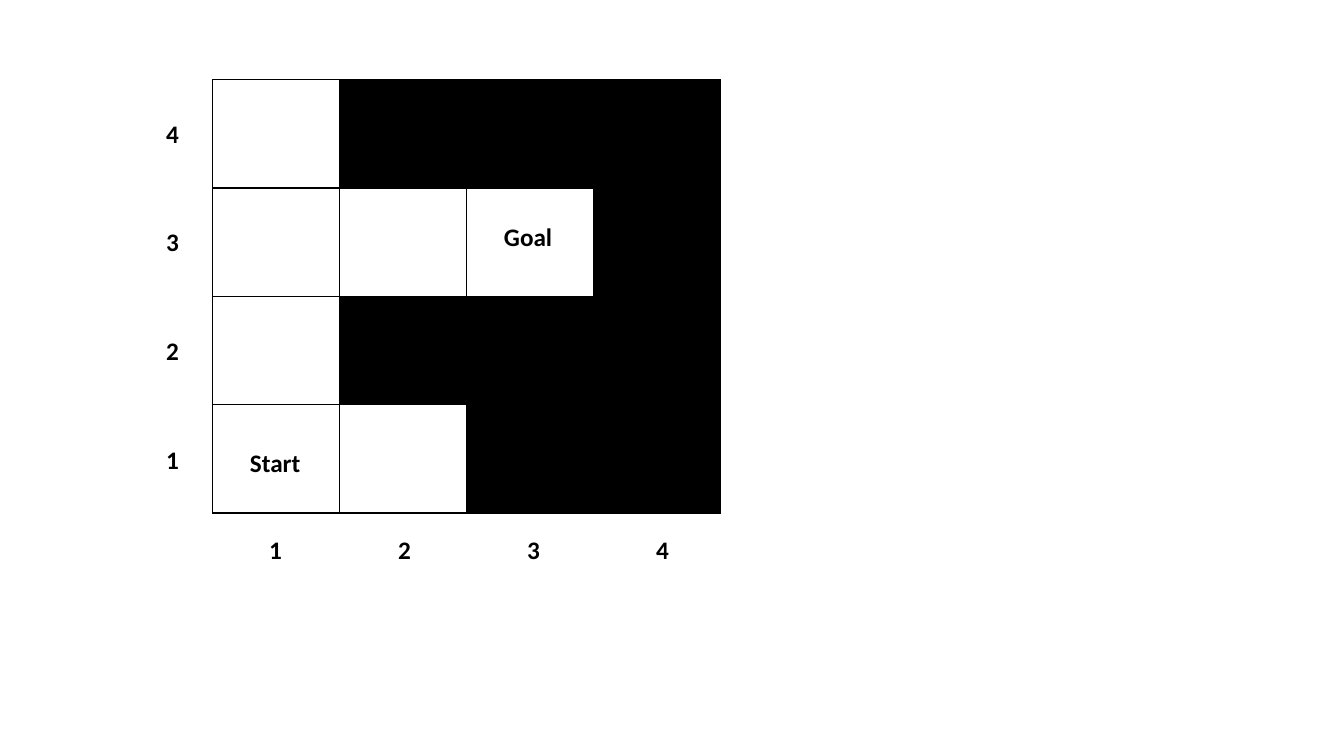
from lxml import etree
from pptx import Presentation
from pptx.dml.color import RGBColor
from pptx.enum.text import MSO_AUTO_SIZE
from pptx.oxml.ns import qn
from pptx.util import Inches, Pt

FIT = MSO_AUTO_SIZE.SHAPE_TO_FIT_TEXT
COLORS = {"ink": "000000"}
# "#" marks a wall, "." an open cell
MAZE = [".###", "...#", ".###", "..##"]
LEFT, TOP = 2.11, 0.79
CELL_W, CELL_H = 1.26, 1.075


class Board:
    def __init__(self, slide):
        self.slide = slide
        self.font = "Calibri"
        self.size = Pt(18)
        self.ink = RGBColor.from_string(COLORS["ink"])

    def label(self, text, left, top, width=0.33):
        box = self.slide.shapes.add_textbox(
            Inches(left), Inches(top), Inches(width), Inches(0.4))
        frame = box.text_frame
        frame.text = text
        frame.word_wrap = False
        frame.auto_size = FIT
        font = frame.paragraphs[0].runs[0].font
        font.name, font.size, font.bold = self.font, self.size, True
        font.color.rgb = self.ink

    def border(self, cell):
        """Draw a 1 pt line on all four sides; call before filling the cell."""
        props = cell._tc.get_or_add_tcPr()
        for side in ("a:lnL", "a:lnR", "a:lnT", "a:lnB"):
            line = etree.SubElement(props, qn(side), w=str(Pt(1)))
            fill = etree.SubElement(line, qn("a:solidFill"))
            etree.SubElement(fill, qn("a:srgbClr"), val=COLORS["ink"])

    def grid(self, maze):
        rows, cols = len(maze), len(maze[0])
        table = self.slide.shapes.add_table(
            rows, cols, Inches(LEFT), Inches(TOP),
            Inches(cols * CELL_W), Inches(rows * CELL_H)).table
        table.first_row = table.horz_banding = False
        for col in table.columns:
            col.width = Inches(CELL_W)
        for r, line in enumerate(maze):
            table.rows[r].height = Inches(CELL_H)
            for c, mark in enumerate(line):
                cell = table.cell(r, c)
                self.border(cell)
                if mark == "#":
                    cell.fill.solid()
                    cell.fill.fore_color.rgb = self.ink
                else:
                    cell.fill.background()


def main():
    deck = Presentation()
    deck.slide_width, deck.slide_height = Inches(13.33), Inches(7.5)
    board = Board(deck.slides.add_slide(deck.slide_layouts[6]))
    board.grid(MAZE)
    board.label("Start", 2.38, 4.39, 0.71)
    board.label("Goal", 4.9, 2.15, 0.68)
    for i in range(4):
        board.label(str(i + 1), 2.57 + 1.28 * i, 5.25)
        board.label(str(i + 1), 1.55, 4.36 - 1.08 * i)
    deck.save("out.pptx")


if __name__ == "__main__":
    main()
